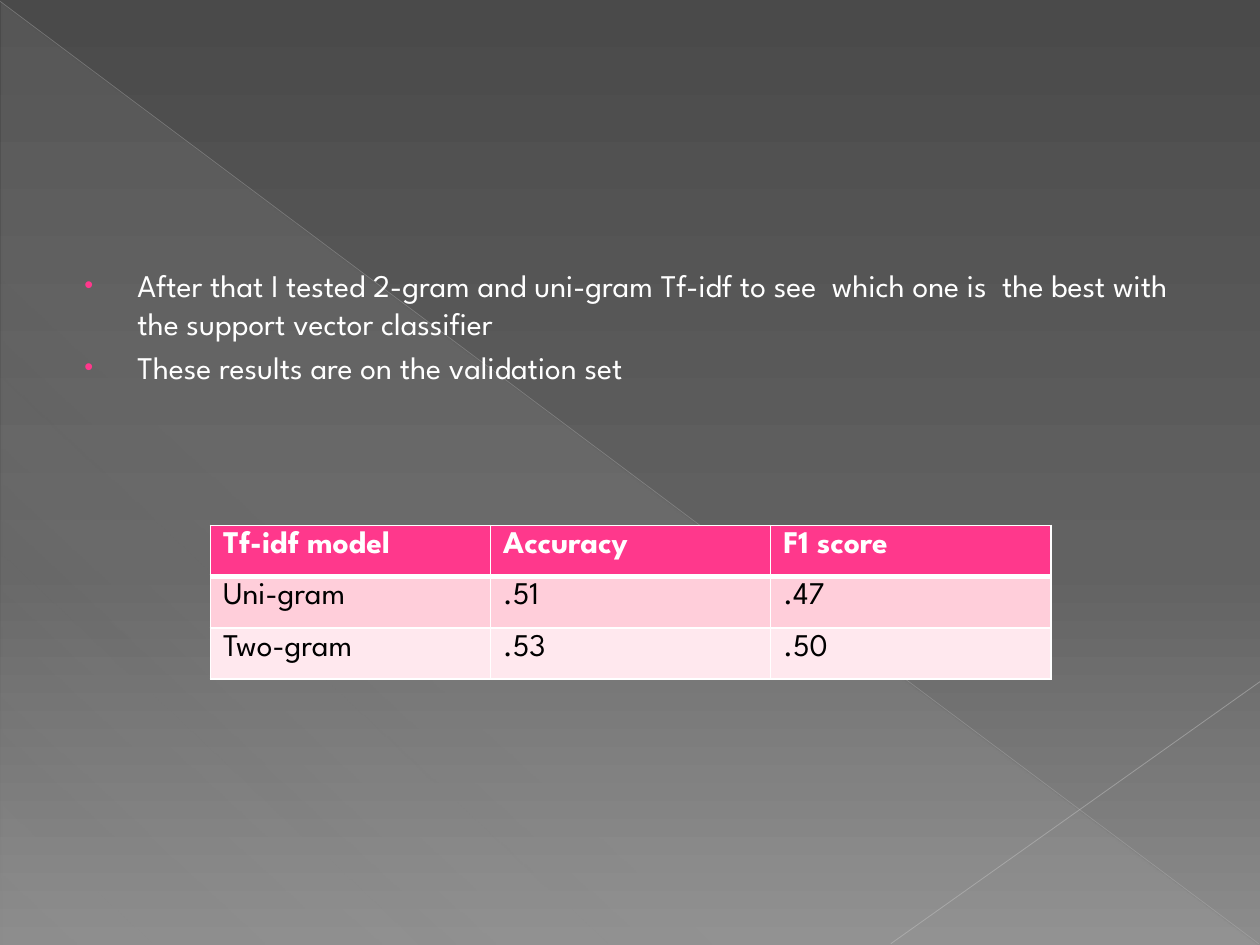
from dataclasses import dataclass

from lxml import etree
from pptx import Presentation
from pptx.dml.color import RGBColor
from pptx.enum.shapes import MSO_CONNECTOR, MSO_SHAPE
from pptx.oxml.ns import qn
from pptx.util import Inches, Pt

STRAIGHT = MSO_CONNECTOR.STRAIGHT
RIGHT_TRIANGLE = MSO_SHAPE.RIGHT_TRIANGLE
TITLE_AND_CONTENT = 1


@dataclass(frozen=True)
class Theme:
    """Colours, font and type size of the slide."""
    font: str = "League Spartan"
    size: int = 18
    light: str = "FFFFFF"
    dark: str = "000000"
    accent: str = "FF388C"
    bands: tuple = ("FFCEDA", "FFE8EE")
    # Gradient stops: position %, colour, opacity %
    backdrop: tuple = ((0, "4A4A4A", 100), (60, "626262", 100), (100, "8C8C8C", 100))
    sheen: tuple = ((0, "D2D2D2", 10), (70, "D2D2D2", 8), (100, "D2D2D2", 1))


THEME = Theme()

FINDINGS = (
    "After that I tested 2-gram and uni-gram Tf-idf to see  which one is  "
    "the best with the support vector classifier",
    "These results are on the validation set",
)
SCORES = (
    ("Tf-idf model", "Accuracy", "F1 score"),
    ("Uni-gram", ".51", ".47"),
    ("Two-gram", ".53", ".50"),
)
# Start, end, colour, width in points, opacity %
DIAGONALS = (
    ((0, 0.01), (9.99, 7.49), "BFBFBF", 0.39, 35),
    ((10, 5.41), (7.07, 7.49), "C6C6C6", 0.47, 45),
)


def add_node(parent, tag, **attributes):
    """Append a DrawingML element with the given attributes."""
    node = etree.SubElement(parent, qn(tag))
    for name, value in attributes.items():
        node.set(name, str(value))
    return node


def add_colour(parent, colour, opacity=100):
    """Append an RGB colour, with transparency if it is not opaque."""
    node = add_node(parent, "a:srgbClr", val=colour)
    if opacity < 100:
        add_node(node, "a:alpha", val=opacity * 1000)


def fill_gradient(fill, owner, stops, clockwise):
    """Give a fill a linear gradient with any number of stops."""
    fill.gradient()
    fill.gradient_angle = 360 - clockwise
    stop_list = owner.find(".//" + qn("a:gsLst"))
    for old_stop in list(stop_list):
        stop_list.remove(old_stop)
    for position, colour, opacity in stops:
        add_colour(add_node(stop_list, "a:gs", pos=position * 1000), colour, opacity)


def format_run(run, **changes):
    """Apply the theme's type to a run, with any changes to it."""
    run.font.color.rgb = RGBColor.from_string(changes.pop("colour", THEME.light))
    settings = {"name": THEME.font, "size": Pt(THEME.size), **changes}
    for name, value in settings.items():
        setattr(run.font, name, value)


def draw_backdrop(slide, left, top, width, height):
    """Draw the gradient ground, the sheen and the diagonal lines."""
    fill_gradient(slide.background.fill, slide.element, THEME.backdrop, 90)
    sheen = slide.shapes.add_shape(
        RIGHT_TRIANGLE, left + Inches(0.01), top + Inches(0.02),
        width - Inches(0.02), height - Inches(0.02))
    sheen.shadow.inherit = False
    sheen.line.fill.background()
    fill_gradient(sheen.fill, sheen.element.spPr, THEME.sheen, 133)

    for start, end, colour, weight, opacity in DIAGONALS:
        diagonal = slide.shapes.add_connector(
            STRAIGHT, left + Inches(start[0]), top + Inches(start[1]),
            left + Inches(end[0]), top + Inches(end[1]))
        diagonal.line.width = Pt(weight)
        diagonal.line.color.rgb = RGBColor.from_string(colour)
        shade = diagonal.element.spPr.find(".//" + qn("a:srgbClr"))
        add_node(shade, "a:alpha", val=opacity * 1000)
        add_node(diagonal.element.spPr, "a:effectLst")


def place_findings(body, left, top, width, height):
    """Move the body placeholder and fill it with the bulleted findings."""
    box = {"left": left, "top": top, "width": width, "height": height}
    for name, value in box.items():
        setattr(body, name, value)
    frame = body.text_frame
    frame.text = "\n".join(FINDINGS)
    for paragraph in frame.paragraphs:
        format_run(paragraph.runs[0])
        properties = paragraph._p.get_or_add_pPr()
        properties.set("marL", str(Inches(0.49)))
        properties.set("indent", str(Inches(-0.42)))
        add_colour(add_node(properties, "a:buClr"), THEME.accent)
        add_node(properties, "a:buSzPct", val=80000)
        add_node(properties, "a:buFont", typeface="Arial")
        add_node(properties, "a:buChar", char="•")


def set_borders(cell, **weights):
    """Draw light borders, whose weights in points are keyed by side."""
    properties = cell._tc.get_or_add_tcPr()
    for side, weight in weights.items():
        border = add_node(properties, f"a:ln{side}", w=Pt(weight))
        add_colour(add_node(border, "a:solidFill"), THEME.light)


def place_scores(slide, left, top, width, height):
    """Add the table that compares the two models."""
    scores = slide.shapes.add_table(
        len(SCORES), len(SCORES[0]), left, top, width, height).table
    for row_number, row in enumerate(SCORES):
        is_header = row_number == 0
        ground = THEME.accent if is_header else THEME.bands[row_number - 1]
        ink = THEME.light if is_header else THEME.dark
        for column_number, wording in enumerate(row):
            cell = scores.cell(row_number, column_number)
            set_borders(cell, L=1, R=1, T=3 if row_number == 1 else 1,
                        B=3 if is_header else 1)
            cell.fill.solid()
            cell.fill.fore_color.rgb = RGBColor.from_string(ground)
            cell.text = wording
            format_run(cell.text_frame.paragraphs[0].runs[0],
                       colour=ink, bold=is_header)


def build_results_slide(deck):
    """Add the slide with the findings and their scores."""
    slide = deck.slides.add_slide(deck.slide_layouts[TITLE_AND_CONTENT])
    title, body = slide.placeholders
    title.element.getparent().remove(title.element)
    draw_backdrop(slide, 0, 0, deck.slide_width, deck.slide_height)
    # Bring the findings in front of the backdrop
    slide.shapes.element.append(body.element)
    place_findings(body, Inches(0.5), Inches(2.06), Inches(9), Inches(5))
    place_scores(slide, Inches(1.67), Inches(4.17), Inches(6.67), Inches(1.22))


deck = Presentation()
deck.slide_width, deck.slide_height = Inches(10), Inches(7.5)
build_results_slide(deck)
deck.save("out.pptx")
